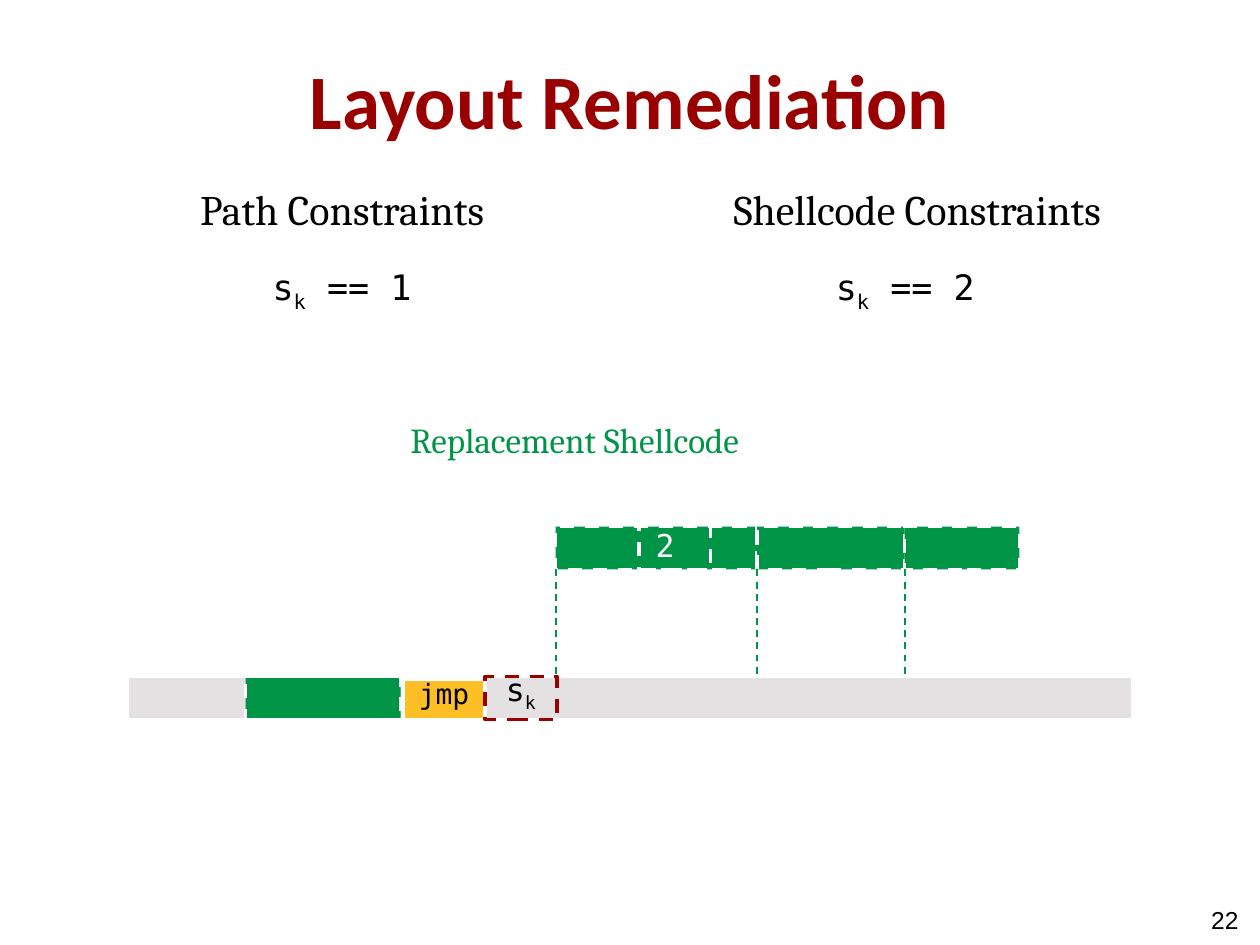
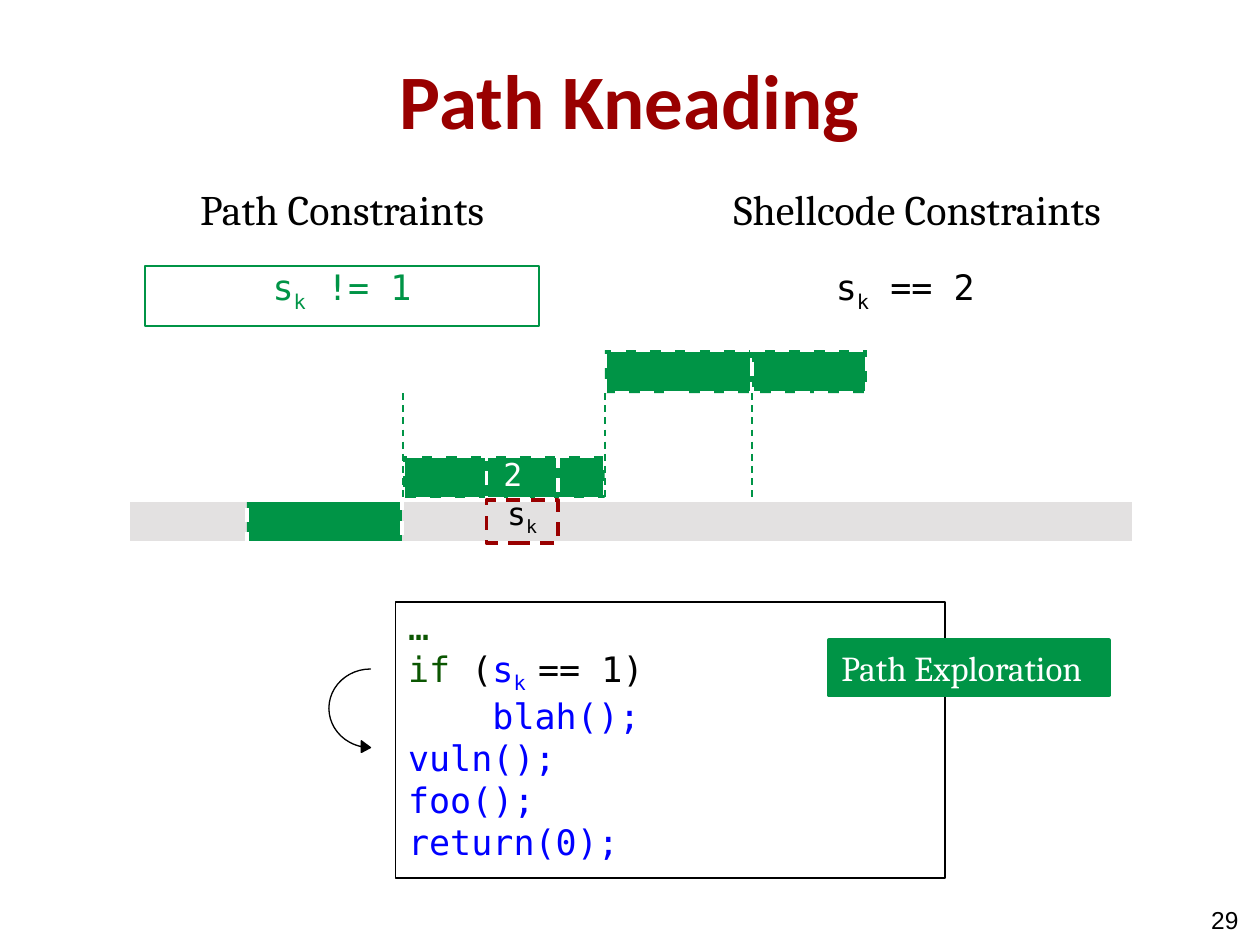
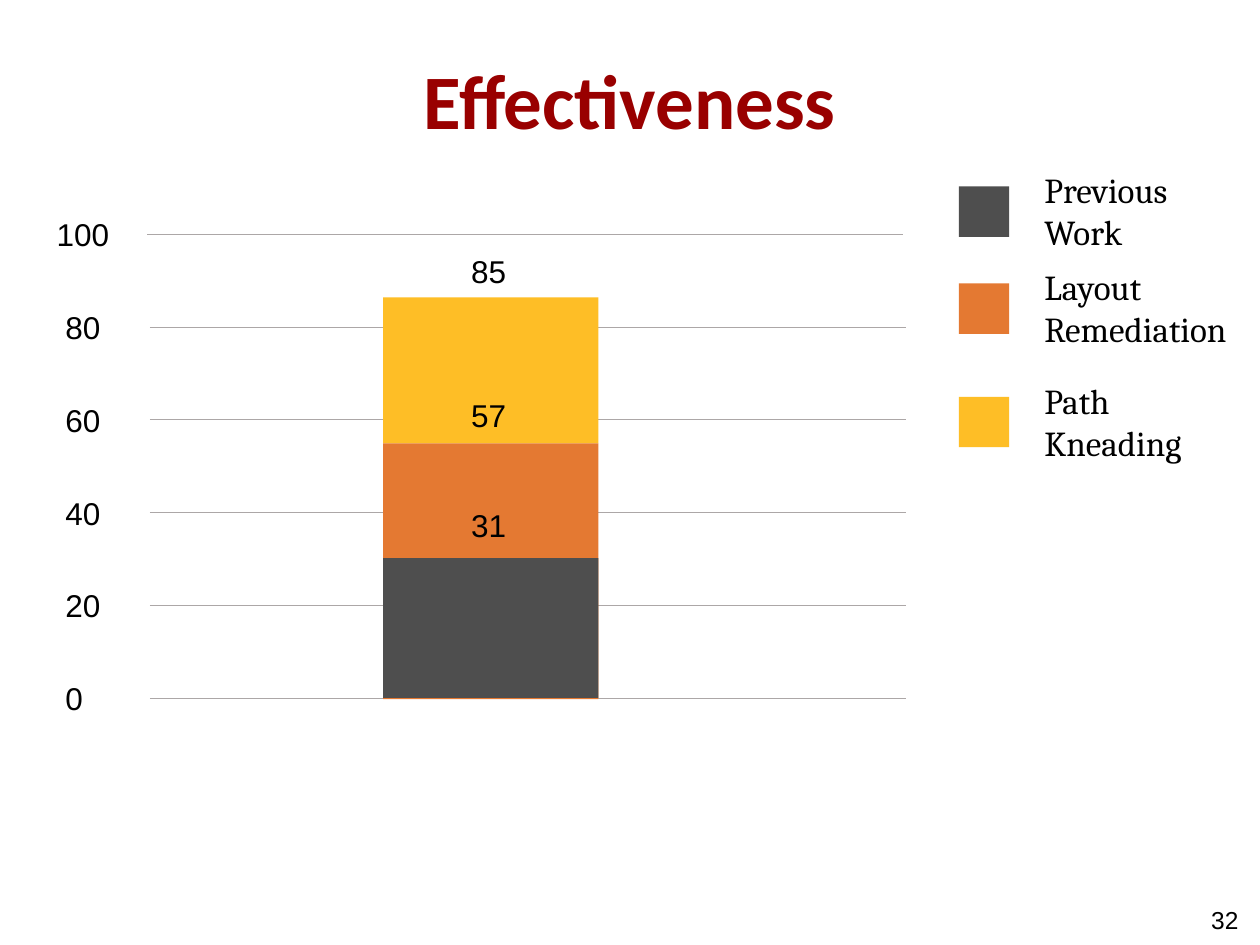
from dataclasses import dataclass

from lxml.etree import SubElement
from pptx import Presentation
from pptx.dml.color import RGBColor
from pptx.enum.dml import MSO_LINE as DASH
from pptx.enum.shapes import MSO_CONNECTOR as CONNECTOR, MSO_SHAPE as SHAPE
from pptx.enum.text import MSO_ANCHOR as ANCHOR, MSO_AUTO_SIZE as AUTO, PP_ALIGN as ALIGN
from pptx.oxml.ns import qn
from pptx.util import Inches, Pt


@dataclass(frozen=True)
class Theme:
    red: str = "990000"
    green: str = "009446"
    amber: str = "FEBE26"
    orange: str = "E47932"
    charcoal: str = "4E4E4E"
    tape: str = "E3E1E1"
    grid: str = "ACA7A7"
    keyword: str = "0B5601"
    code: str = "0000FF"
    black: str = "000000"
    white: str = "FFFFFF"
    title_font: str = "Calibri"
    body_font: str = "Cambria"
    mono_font: str = "DejaVu Sans Mono"
    plain_font: str = "Arial"
    title_size: int = 44
    heading_size: int = 24
    text_size: int = 20
    label_size: int = 18
    jump_size: int = 16
    number_size: int = 14


T = Theme()
CODE_INSETS = (0.1, 0.05, 0.1, 0.15)
CELL_H = 0.34
PIECE_WIDTHS = (1.6, 1.17, 0.91)


def rgb(color):
    return RGBColor.from_string(color)


def style_font(font, name, size, color, bold=False):
    font.name, font.size, font.bold = name, Pt(size), bold
    font.color.rgb = rgb(color)


def set_text(sp, lines, font, size, color, align=ALIGN.LEFT, bold=False,
             insets=(0.1, 0.05, 0.1, 0.05), anchor=ANCHOR.TOP, wrap=True, grow=False):
    tf = sp.text_frame
    tf.word_wrap = wrap
    tf.auto_size = AUTO.SHAPE_TO_FIT_TEXT if grow else AUTO.NONE
    tf.vertical_anchor = anchor
    tf.margin_left, tf.margin_top, tf.margin_right, tf.margin_bottom = map(Inches, insets)
    for i, line in enumerate(lines):
        p = tf.add_paragraph() if i else tf.paragraphs[0]
        p.alignment = align
        runs = [(line, color, False)] if isinstance(line, str) else line
        for text, run_color, is_subscript in runs:
            r = p.add_run()
            r.text = text
            style_font(r.font, font, size, run_color, bold)
            if is_subscript:
                r.font._element.set("baseline", "-25000")


def add_text(s, box, lines, font, size, color=T.black, **options):
    sp = s.shapes.add_textbox(*map(Inches, box))
    set_text(sp, lines, font, size, color, **options)


def add_box(s, box, fill=None, line=None, width=2, dashed=False, shape=SHAPE.RECTANGLE):
    sp = s.shapes.add_shape(shape, *map(Inches, box))
    sp.shadow.inherit = False
    if fill:
        sp.fill.solid()
        sp.fill.fore_color.rgb = rgb(fill)
    else:
        sp.fill.background()
    if line:
        sp.line.color.rgb = rgb(line)
        sp.line.width = Pt(width)
        if dashed:
            sp.line.dash_style = DASH.DASH
    else:
        sp.line.fill.background()
    return sp


def add_line(s, ends, color, width, dashed=False):
    c = s.shapes.add_connector(CONNECTOR.STRAIGHT, *map(Inches, ends))
    c.line.color.rgb = rgb(color)
    c.line.width = Pt(width)
    if dashed:
        c.line.dash_style = DASH.DASH
    SubElement(c._element.spPr, qn("a:effectLst"))


def add_slide(prs, title, number):
    s = prs.slides.add_slide(prs.slide_layouts[6])
    add_text(s, (0.5, 0.16, 9, 1.25), [title], T.title_font, T.title_size, T.red,
             align=ALIGN.CENTER, bold=True, anchor=ANCHOR.MIDDLE, insets=(0.1,) * 4)
    add_text(s, (7.5, 7.1, 2.33, 0.4), [str(number)], T.plain_font, T.number_size,
             align=ALIGN.RIGHT, anchor=ANCHOR.MIDDLE, insets=(0,) * 4)
    return s


def s_k(rest="", color=T.black):
    runs = [("s", color, False), ("k", color, True)]
    return runs + [(rest, color, False)] if rest else runs


def set_code(sp, lines, size, color=T.black, align=ALIGN.CENTER, insets=CODE_INSETS):
    set_text(sp, lines, T.mono_font, size, color, align=align,
             insets=insets, anchor=ANCHOR.MIDDLE)


def add_constraint(s, heading, heading_box, left, rest, color=T.black, line=None):
    sp = add_box(s, (left, 2.11, 3.13, 0.48), line=line, width=1)
    set_code(sp, [s_k(rest, color)], T.text_size)
    add_text(s, heading_box, [heading], T.body_font, T.heading_size,
             align=ALIGN.CENTER, wrap=False, grow=True)


def add_constraints(s, path_rest, **path_style):
    add_constraint(s, "Path Constraints", (1.42, 1.41, 2.59, 0.5), 1.15,
                   path_rest, **path_style)
    add_constraint(s, "Shellcode Constraints", (5.56, 1.41, 3.44, 0.5), 5.62, " == 2")


def add_memory(s, tape_x, tape_y, shell_x, first_y, rest_y):
    tape = (tape_x, tape_y, 7.98, CELL_H)
    add_box(s, tape, T.tape, T.white)
    add_box(s, (tape_x + 0.94, tape_y, 1.23, CELL_H), T.green, T.white, dashed=True)
    x = shell_x
    for width, y in zip(PIECE_WIDTHS, (first_y, rest_y, rest_y)):
        add_box(s, (x, y, width, CELL_H), T.green, T.white, dashed=True)
        top = rest_y + CELL_H
        add_line(s, (x, top, x, top + 0.84), T.green, 1, dashed=True)
        x += width
    add_box(s, tape, line=T.white)
    value = add_box(s, (shell_x + 0.66, first_y, 0.57, CELL_H), line=T.white, dashed=True)
    set_code(value, ["2 "], T.label_size, T.white, insets=(0.1, 0.1, 0.1, 0.15))


def add_slot(s, x, y):
    slot = add_box(s, (x, y, 0.57, CELL_H), line=T.red, dashed=True)
    set_code(slot, [s_k()], T.label_size)


def add_code_listing(s):
    sp = add_box(s, (3.14, 4.78, 4.36, 2.19), line=T.black, width=1)
    condition = [("if ", T.keyword, False), ("(", T.black, False), ("s", T.code, False),
                 ("k ", T.code, True), ("== 1)", T.black, False)]
    calls = [[(call, T.code, False)] for call in ("blah();", "vuln();", "foo();", "return(0);")]
    set_code(sp, ["…", condition, *calls], T.text_size, T.keyword, ALIGN.LEFT)
    sp.text_frame.paragraphs[2]._p.get_or_add_pPr().set("marL", str(Inches(0.67)))


def add_skip_arrow(s):
    sp = add_box(s, (2.61, 5.31, 0.33, 0.67), T.black, T.black, 0.75,
                 shape=SHAPE.CURVED_LEFT_ARROW)
    for i, value in enumerate((0, 0.28, 0.22)):
        sp.adjustments[i] = value
    sp.rotation = 180
    sp._element.spPr.xfrm.set("flipV", "1")


def add_number(s, x, y, value):
    width = 0.2 + 0.14 * len(str(value))
    add_text(s, (x, y, width, 0.4), [str(value)], T.plain_font, T.label_size,
             wrap=False, grow=True)


def add_scale(s):
    for i, value in enumerate(range(100, -1, -20)):
        y = 1.86 + 0.736 * i
        left, label_x = (1.17, 0.35) if value == 100 else (1.19, 0.42)
        add_line(s, (left, y, left + 6, y), T.grid, 0.5)
        add_number(s, label_x, y - 0.2, value)


def add_bar(s, top, height, color, total, total_y):
    add_box(s, (3.04, top, 1.71, height), color)
    add_number(s, 3.64, total_y, total)


def add_legend_entry(s, name, color, y, text_width):
    add_box(s, (7.61, y, 0.4, 0.4), color)
    add_text(s, (8.19, y - 0.19, text_width, 0.77), [name], T.body_font, T.text_size, grow=True)


def layout_remediation(prs):
    s = add_slide(prs, "Layout Remediation", 22)
    add_constraints(s, " == 1")
    add_text(s, (3.16, 3.27, 2.97, 0.44), ["Replacement Shellcode"], T.body_font,
             T.text_size, T.green, wrap=False, grow=True)
    add_memory(s, 1.01, 5.37, shell_x=4.41, first_y=4.18, rest_y=4.18)
    jump = add_box(s, (3.2, 5.39, 0.65, 0.32), T.amber, T.white)
    set_code(jump, ["jmp"], T.jump_size)
    add_slot(s, 3.85, 5.37)


def path_kneading(prs):
    s = add_slide(prs, "Path Kneading", 29)
    add_constraints(s, " != 1", color=T.green, line=T.green)
    add_memory(s, 1.02, 3.97, shell_x=3.2, first_y=3.62, rest_y=2.78)
    add_slot(s, 3.86, 3.97)
    add_code_listing(s)
    tag = add_box(s, (6.58, 5.08, 2.22, 0.44), T.green, T.green)
    set_text(tag, ["Path Exploration"], T.body_font, T.text_size, T.white,
             wrap=False, grow=True)
    add_skip_arrow(s)


def effectiveness(prs):
    s = add_slide(prs, "Effectiveness", 32)
    add_scale(s)
    add_bar(s, 2.36, 1.16, T.amber, 85, 1.95)
    add_bar(s, 3.52, 2.03, T.orange, 57, 3.09)
    add_bar(s, 4.43, 1.11, T.charcoal, 31, 3.97)
    add_legend_entry(s, "Previous Work", T.charcoal, 1.48, 1.81)
    add_legend_entry(s, "Layout Remediation", T.orange, 2.25, 1.81)
    add_legend_entry(s, "Path Kneading", T.amber, 3.15, 1.42)


def main():
    prs = Presentation()
    prs.slide_width, prs.slide_height = Inches(10), Inches(7.5)
    layout_remediation(prs)
    path_kneading(prs)
    effectiveness(prs)
    prs.save("out.pptx")


if __name__ == "__main__":
    main()
